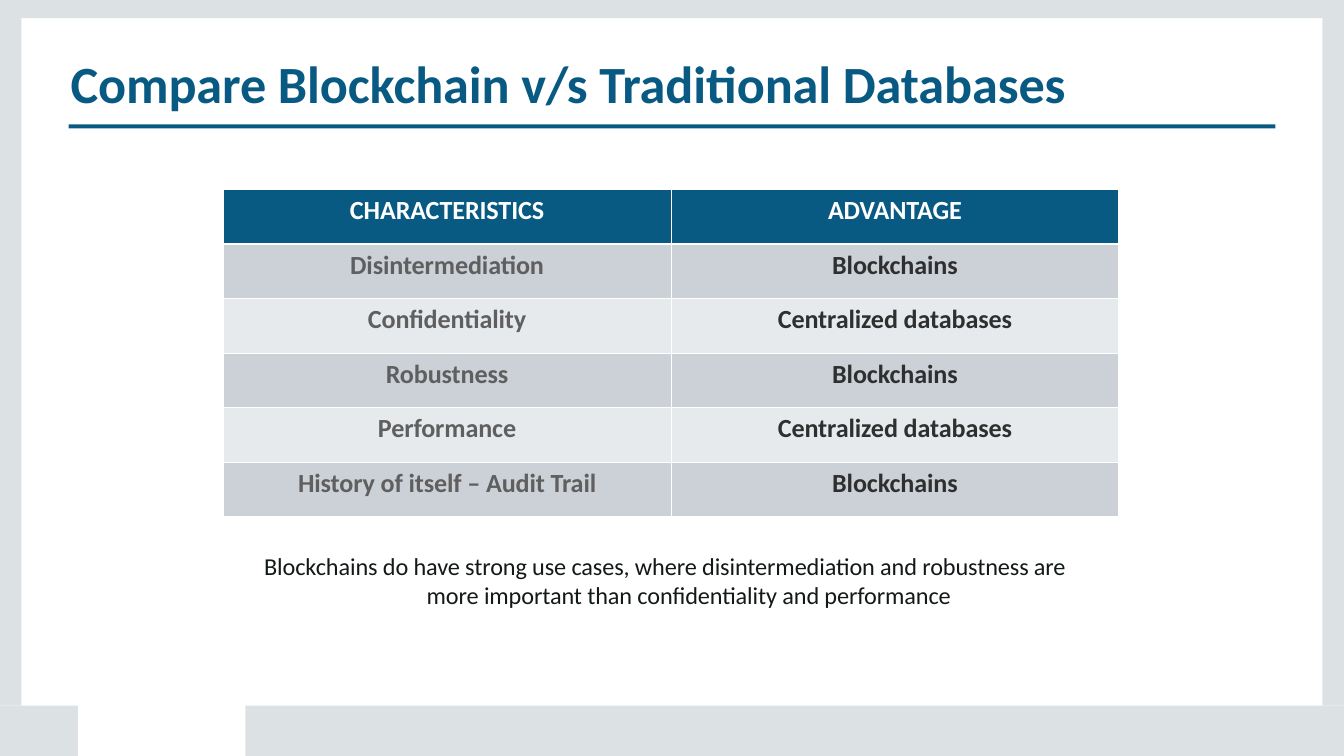
from lxml.etree import SubElement
from pptx import Presentation
from pptx.dml.color import RGBColor
from pptx.enum.shapes import MSO_SHAPE
from pptx.enum.text import PP_ALIGN
from pptx.oxml.ns import qn
from pptx.util import Inches, Pt

FONT = "Calibri"
BLUE, GREY, WHITE = "095A82", "DCE2E3", "FFFFFF"
BANDS = ["CCD1D7", "E7EAEC"]
HEADER = ["CHARACTERISTICS", "ADVANTAGE"]
ROWS = [
    ["Disintermediation", "Blockchains"],
    ["Confidentiality", "Centralized databases"],
    ["Robustness", "Blockchains"],
    ["Performance", "Centralized databases"],
    ["History of itself – Audit Trail", "Blockchains"],
]
NOTE = [
    ("Blockchains do have strong use cases, where disintermediation and robustness are", 0.03),
    ("more important than confidentiality and performance", 2.45),
]


def rgb(color):
    return RGBColor.from_string(color)


def add_text(p, text, size=28, color=WHITE, bold=False, align=None, indent=0, spacing=-0.1):
    if indent:
        p._p.get_or_add_pPr().set("marL", str(Inches(indent)))
    if align is not None:
        p.alignment = align
    r = p.add_run()
    r.text = text
    r.font.name, r.font.size, r.font.bold = FONT, Pt(size), bold
    r.font.color.rgb = rgb(color)
    r._r.get_or_add_rPr().set("spc", str(round(spacing * 100)))


def set_margins(box, top):
    box.margin_left = box.margin_right = box.margin_bottom = 0
    box.margin_top = Inches(top)


def add_bar(s, left, top, width, height, color):
    sp = s.shapes.add_shape(
        MSO_SHAPE.RECTANGLE, Inches(left), Inches(top), Inches(width), Inches(height))
    sp.shadow.inherit = False
    sp.fill.solid()
    sp.fill.fore_color.rgb = rgb(color)
    sp.line.fill.background()


def add_box(s, left, top, width, height):
    tf = s.shapes.add_textbox(
        Inches(left), Inches(top), Inches(width), Inches(height)).text_frame
    tf.word_wrap = True
    set_margins(tf, 0.05)
    return tf


def add_frame(s, width, height):
    side, top, bottom = 0.32, 0.27, 0.75
    base = height - bottom
    for left in (width - side, 0):
        add_bar(s, left, top, side, base - top, GREY)
    add_bar(s, 3.65, base, width - 3.65, bottom, GREY)
    add_bar(s, 0, base, 1.16, bottom, GREY)
    add_bar(s, 0, 0, width, top, GREY)


def add_title(s, left, top, width, height):
    add_bar(s, left, top + 1.14, 17.96, 0.06, BLUE)
    tf = add_box(s, left, top, width, height)
    add_text(tf.paragraphs[0], "Compare Blockchain v/s Traditional Databases",
             size=56, color=BLUE, bold=True, indent=0.03, spacing=-0.15)


def set_borders(cell, widths):
    tcPr = cell._tc.get_or_add_tcPr()
    for i, (side, width) in enumerate(widths.items()):
        ln = SubElement(tcPr, qn(f"a:ln{side}"), w=str(Pt(width)))
        fill = SubElement(ln, qn("a:solidFill"))
        SubElement(fill, qn("a:srgbClr"), val=WHITE)
        tcPr.remove(ln)
        tcPr.insert(i, ln)


def add_comparison(s, left, top, width, height):
    rows = [HEADER] + ROWS
    table = s.shapes.add_table(
        len(rows), len(HEADER), Inches(left), Inches(top), Inches(width), Inches(height)).table
    for i, row in enumerate(rows):
        fill = BANDS[(i - 1) % 2] if i else BLUE
        colors = ["5F5F5F", "2F2F2F"] if i else [WHITE, WHITE]
        borders = {"L": 1, "R": 1, "T": 3 if i == 1 else 1,
                   "B": 3 if i == 0 else 1.5 if i == len(ROWS) else 1}
        for j, text in enumerate(row):
            cell = table.cell(i, j)
            set_margins(cell, 0.08 if i else 0.07)
            cell.fill.solid()
            cell.fill.fore_color.rgb = rgb(fill)
            set_borders(cell, borders)
            add_text(cell.text_frame.paragraphs[0], text, color=colors[j],
                     bold=True, align=PP_ALIGN.CENTER)


def add_note(s, left, top, width, height):
    tf = add_box(s, left, top, width, height)
    for i, (text, indent) in enumerate(NOTE):
        p = tf.add_paragraph() if i else tf.paragraphs[0]
        add_text(p, text, size=26, color="131818", indent=indent, spacing=-0.15)


def main():
    prs = Presentation()
    prs.slide_width, prs.slide_height = Inches(20), Inches(11.25)
    s = prs.slides.add_slide(prs.slide_layouts[6])
    add_frame(s, 20, 11.25)
    add_title(s, 1.02, 0.71, 17.47, 0.97)
    add_comparison(s, 3.32, 2.82, 13.33, 4.87)
    add_note(s, 3.9, 8.16, 12.18, 0.9)
    prs.save("out.pptx")


if __name__ == "__main__":
    main()
